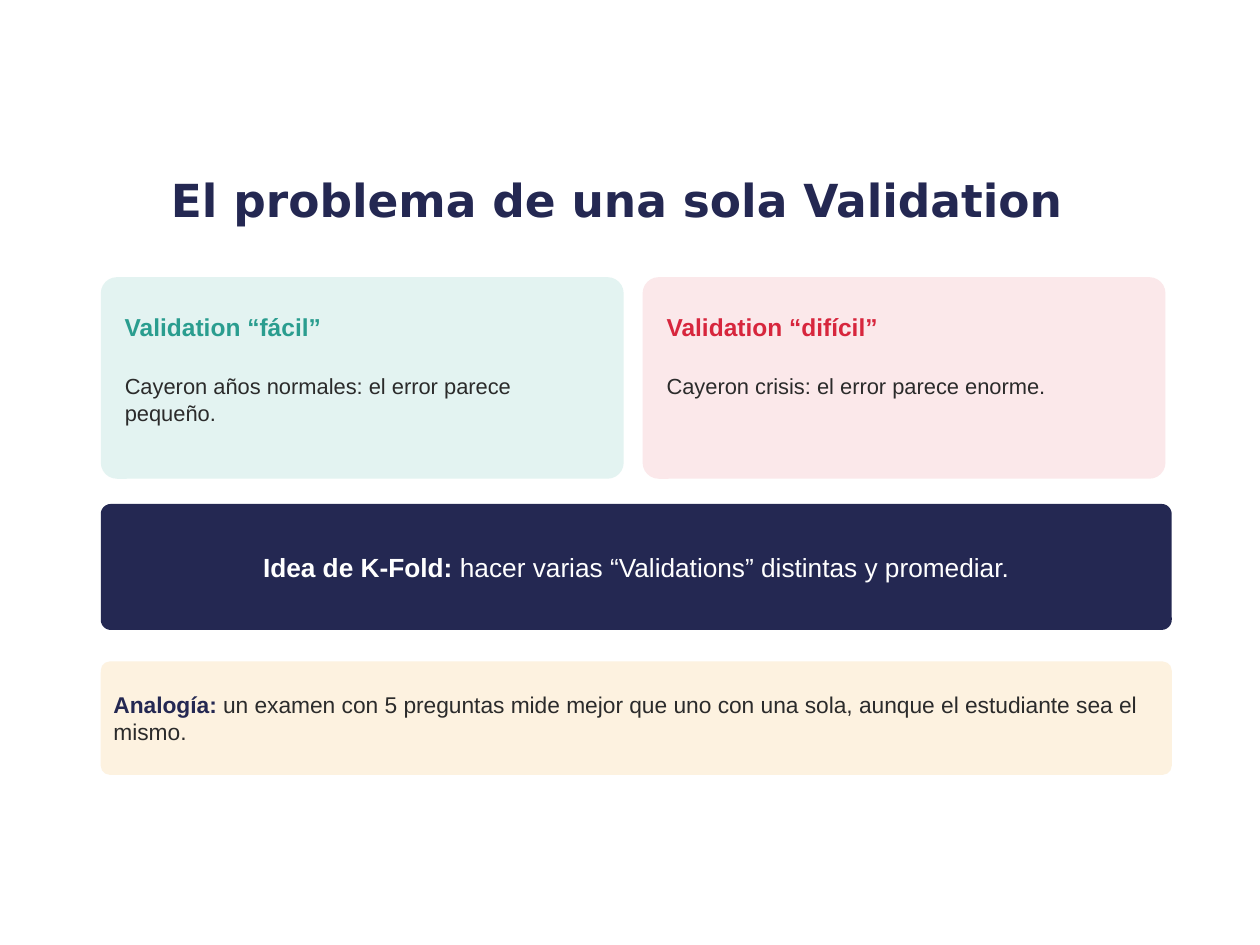
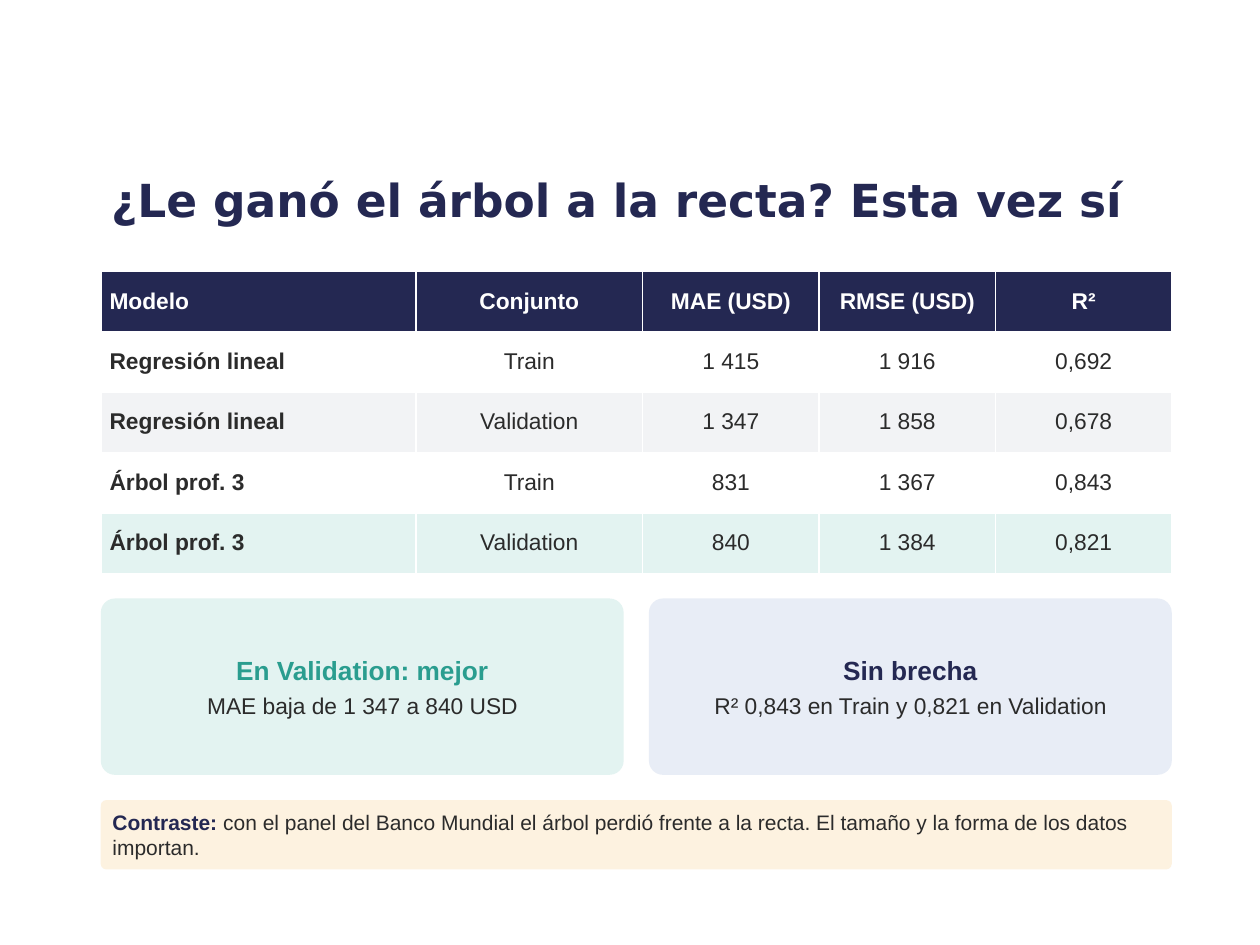
from dataclasses import dataclass

from pptx import Presentation
from pptx.dml.color import RGBColor
from pptx.enum.shapes import MSO_SHAPE
from pptx.enum.text import MSO_ANCHOR, MSO_AUTO_SIZE, PP_ALIGN
from pptx.presentation import Presentation as Deck
from pptx.shapes.autoshape import Shape
from pptx.slide import Slide
from pptx.text.text import TextFrame, _Paragraph
from pptx.util import Inches, Pt

ROUNDED = MSO_SHAPE.ROUNDED_RECTANGLE
LEFT, CENTER = PP_ALIGN.LEFT, PP_ALIGN.CENTER
TOP, MIDDLE = MSO_ANCHOR.TOP, MSO_ANCHOR.MIDDLE
NO_FIT, GROW = MSO_AUTO_SIZE.NONE, MSO_AUTO_SIZE.SHAPE_TO_FIT_TEXT

# Shared look
BODY_FONT, TITLE_FONT = "Arial", "DejaVu Sans"
NAVY, INK, WHITE = "242852", "2B2B2B", "FFFFFF"
TEAL, RED = "2A9D8F", "D7263D"
MINT, PINK, CREAM, LAVENDER, GRAY = "E3F3F1", "FBE8EA", "FDF2E0", "E8EDF6", "F2F3F5"
MARGIN, CONTENT_WIDTH, CARD_WIDTH = 0.8, 8.5, 4.15
TITLE_ONLY = 5


@dataclass(frozen=True)
class Span:
    text: str
    size: float
    color: str = INK
    bold: bool = False
    font: str = BODY_FONT


@dataclass(frozen=True)
class Box:
    left: float
    top: float
    width: float
    height: float

    def lengths(self) -> tuple:
        return tuple(Inches(v) for v in (self.left, self.top, self.width, self.height))


@dataclass(frozen=True)
class Card:
    heading: str
    body: str
    accent: str
    fill: str


def rgb(color: str) -> RGBColor:
    return RGBColor.from_string(color)


# Text
def write_line(paragraph: _Paragraph, spans: list[Span], align: PP_ALIGN) -> None:
    paragraph.alignment = align
    for span in spans:
        run = paragraph.add_run()
        run.text = span.text
        run.font.name = span.font
        run.font.size = Pt(span.size)
        run.font.bold = span.bold
        run.font.color.rgb = rgb(span.color)


def write_lines(frame: TextFrame, lines: list[list[Span]], align: PP_ALIGN,
                inset: float, space_after: float, anchor: MSO_ANCHOR = MIDDLE) -> None:
    frame.word_wrap = True
    frame.vertical_anchor = anchor
    frame.margin_left = frame.margin_right = Inches(inset)
    frame.margin_top = frame.margin_bottom = Inches(inset)
    for index, spans in enumerate(lines):
        paragraph = frame.add_paragraph() if index else frame.paragraphs[0]
        write_line(paragraph, spans, align)
        paragraph.space_after = Pt(space_after)


# Slide parts
def add_titled_slide(presentation: Deck, title: str) -> Slide:
    slide = presentation.slides.add_slide(presentation.slide_layouts[TITLE_ONLY])
    shape = slide.shapes.title
    shape.left, shape.top, shape.width, shape.height = Box(0.75, 1.18, 8.3, 0.8).lengths()
    frame = shape.text_frame
    frame.auto_size = NO_FIT
    frame.vertical_anchor = MIDDLE
    write_line(frame.paragraphs[0], [Span(title, 26, NAVY, True, TITLE_FONT)], CENTER)
    return slide


def add_panel(slide: Slide, box: Box, fill: str) -> Shape:
    panel = slide.shapes.add_shape(ROUNDED, *box.lengths())
    panel.adjustments[0] = 0.08
    panel.shadow.inherit = False
    panel.fill.solid()
    panel.fill.fore_color.rgb = rgb(fill)
    panel.line.fill.background()
    return panel


def add_text_panel(slide: Slide, box: Box, fill: str, lines: list[list[Span]],
                   align: PP_ALIGN = CENTER) -> None:
    write_lines(add_panel(slide, box, fill).text_frame, lines, align, 0.08, 3)


def add_note(slide: Slide, top: float, height: float, label: str, text: str,
             size: float) -> None:
    line = [Span(label, size, NAVY, True), Span(text, size)]
    add_text_panel(slide, Box(MARGIN, top, CONTENT_WIDTH, height), CREAM, [line], LEFT)


def add_label(slide: Slide, box: Box, span: Span, anchor: MSO_ANCHOR) -> None:
    frame = slide.shapes.add_textbox(*box.lengths()).text_frame
    write_lines(frame, [[span]], LEFT, 0.04, 4, anchor)
    frame.auto_size = GROW


def add_table(slide: Slide, box: Box, widths: list[float], rows: list[list[str]],
              fills: list[str]) -> None:
    table = slide.shapes.add_table(len(rows), len(widths), *box.lengths()).table
    for column, width in zip(table.columns, widths):
        column.width = Inches(width)
    for row_index, (values, fill) in enumerate(zip(rows, fills)):
        is_header = row_index == 0
        for column_index, value in enumerate(values):
            is_first = column_index == 0
            cell = table.cell(row_index, column_index)
            cell.fill.solid()
            cell.fill.fore_color.rgb = rgb(fill)
            cell.vertical_anchor = MIDDLE
            cell.margin_left = cell.margin_right = Inches(0.07)
            cell.margin_top = cell.margin_bottom = Inches(0.03)
            span = Span(value, 13, WHITE if is_header else INK, is_header or is_first)
            write_line(cell.text_frame.paragraphs[0], [span], LEFT if is_first else CENTER)


# Slides
def build_validation_slide(presentation: Deck) -> None:
    slide = add_titled_slide(presentation, "El problema de una sola Validation")
    cards = [
        Card("Validation “fácil”", "Cayeron años normales: el error parece pequeño.", TEAL, MINT),
        Card("Validation “difícil”", "Cayeron crisis: el error parece enorme.", RED, PINK),
    ]
    for index, card in enumerate(cards):
        left = MARGIN + index * (CARD_WIDTH + 0.15)
        add_panel(slide, Box(left, 2.2, CARD_WIDTH, 1.6), card.fill)
        add_label(slide, Box(left + 0.15, 2.32, 3.9, 0.55),
                  Span(card.heading, 14, card.accent, True), MIDDLE)
        add_label(slide, Box(left + 0.15, 2.92, 3.85, 0.8), Span(card.body, 12.5), TOP)

    idea = [Span("Idea de K-Fold: ", 15, WHITE, True),
            Span("hacer varias “Validations” distintas y promediar.", 15, WHITE)]
    add_text_panel(slide, Box(MARGIN, 4, CONTENT_WIDTH, 1), NAVY, [idea])
    add_note(slide, 5.25, 0.9, "Analogía: ",
             "un examen con 5 preguntas mide mejor que uno con una sola, "
             "aunque el estudiante sea el mismo.", 13)


def build_comparison_slide(presentation: Deck) -> None:
    slide = add_titled_slide(presentation, "¿Le ganó el árbol a la recta? Esta vez sí")
    rows = [
        ["Modelo", "Conjunto", "MAE (USD)", "RMSE (USD)", "R²"],
        ["Regresión lineal", "Train", "1 415", "1 916", "0,692"],
        ["Regresión lineal", "Validation", "1 347", "1 858", "0,678"],
        ["Árbol prof. 3", "Train", "831", "1 367", "0,843"],
        ["Árbol prof. 3", "Validation", "840", "1 384", "0,821"],
    ]
    add_table(slide, Box(MARGIN, 2.15, CONTENT_WIDTH, 2.4), [2.5, 1.8, 1.4, 1.4, 1.4],
              rows, [NAVY, WHITE, GRAY, WHITE, MINT])

    cards = [
        Card("En Validation: mejor", "MAE baja de 1 347 a 840 USD", TEAL, MINT),
        Card("Sin brecha", "R² 0,843 en Train y 0,821 en Validation", NAVY, LAVENDER),
    ]
    for index, card in enumerate(cards):
        left = MARGIN + index * (CARD_WIDTH + 0.2)
        lines = [[Span(card.heading, 15, card.accent, True)], [Span(card.body, 13)]]
        add_text_panel(slide, Box(left, 4.75, CARD_WIDTH, 1.4), card.fill, lines)

    add_note(slide, 6.35, 0.55, "Contraste: ",
             "con el panel del Banco Mundial el árbol perdió frente a la recta. "
             "El tamaño y la forma de los datos importan.", 12)


def main() -> None:
    presentation = Presentation()
    presentation.slide_width = Inches(10)
    presentation.slide_height = Inches(7.5)
    build_validation_slide(presentation)
    build_comparison_slide(presentation)
    presentation.save("out.pptx")


if __name__ == "__main__":
    main()
